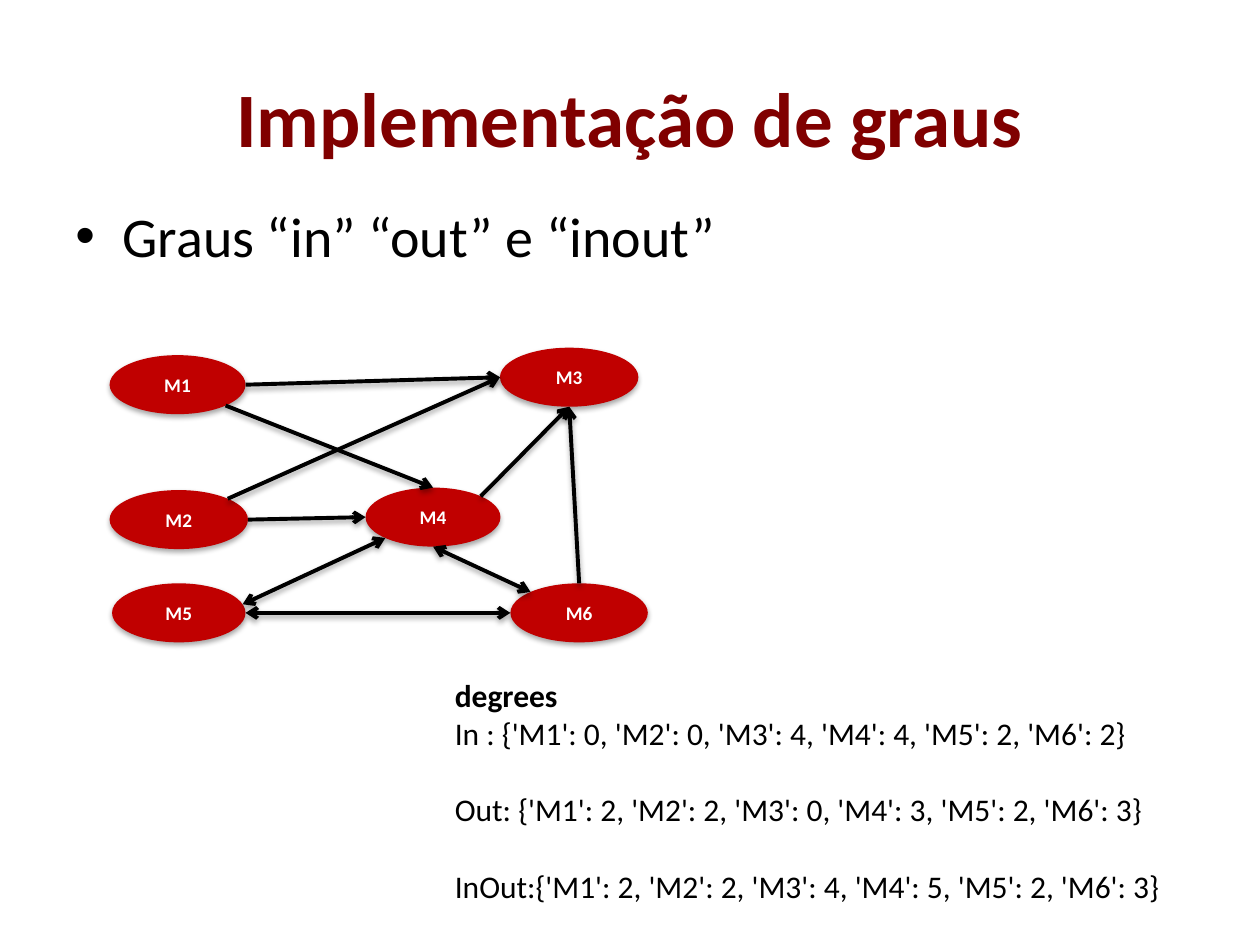
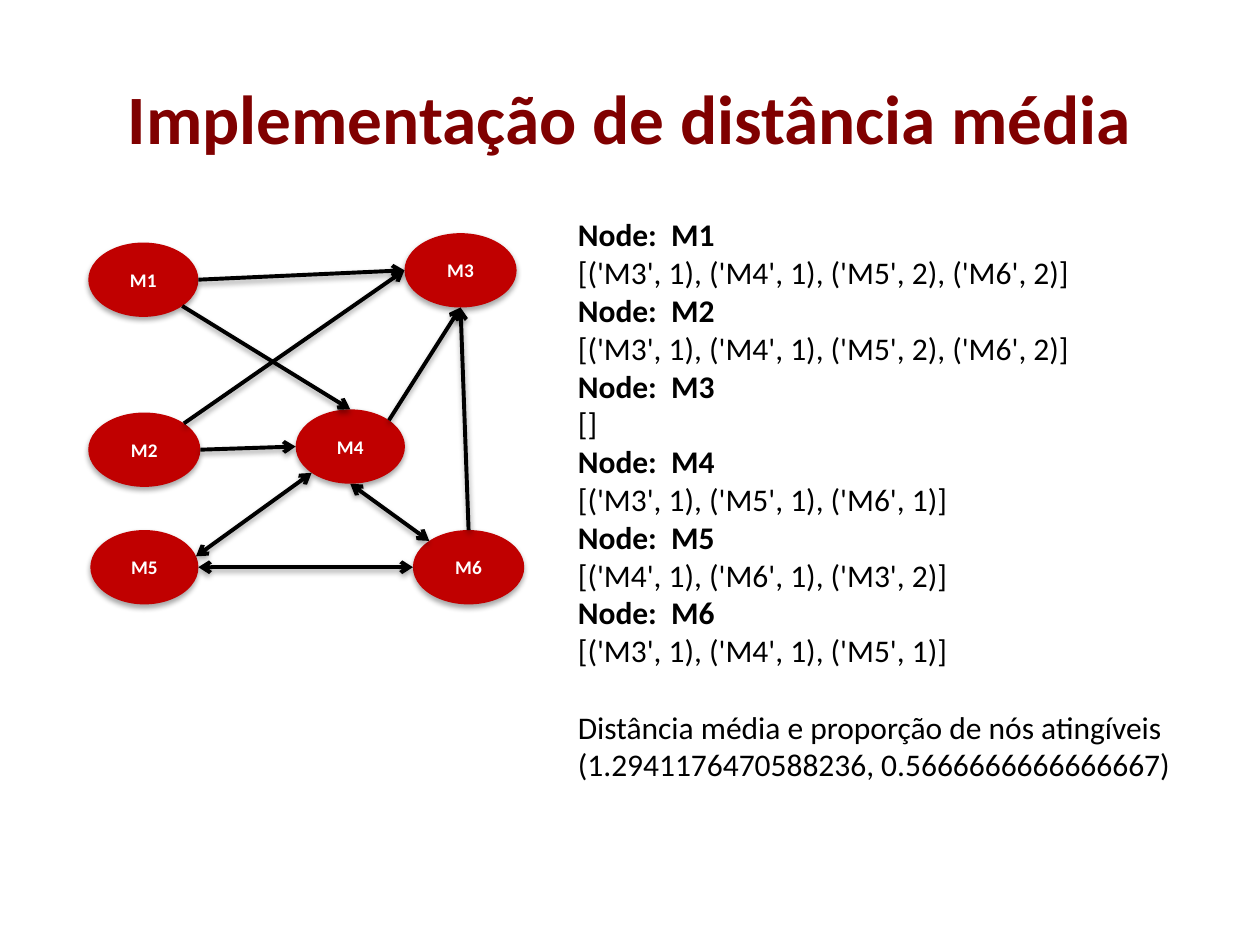
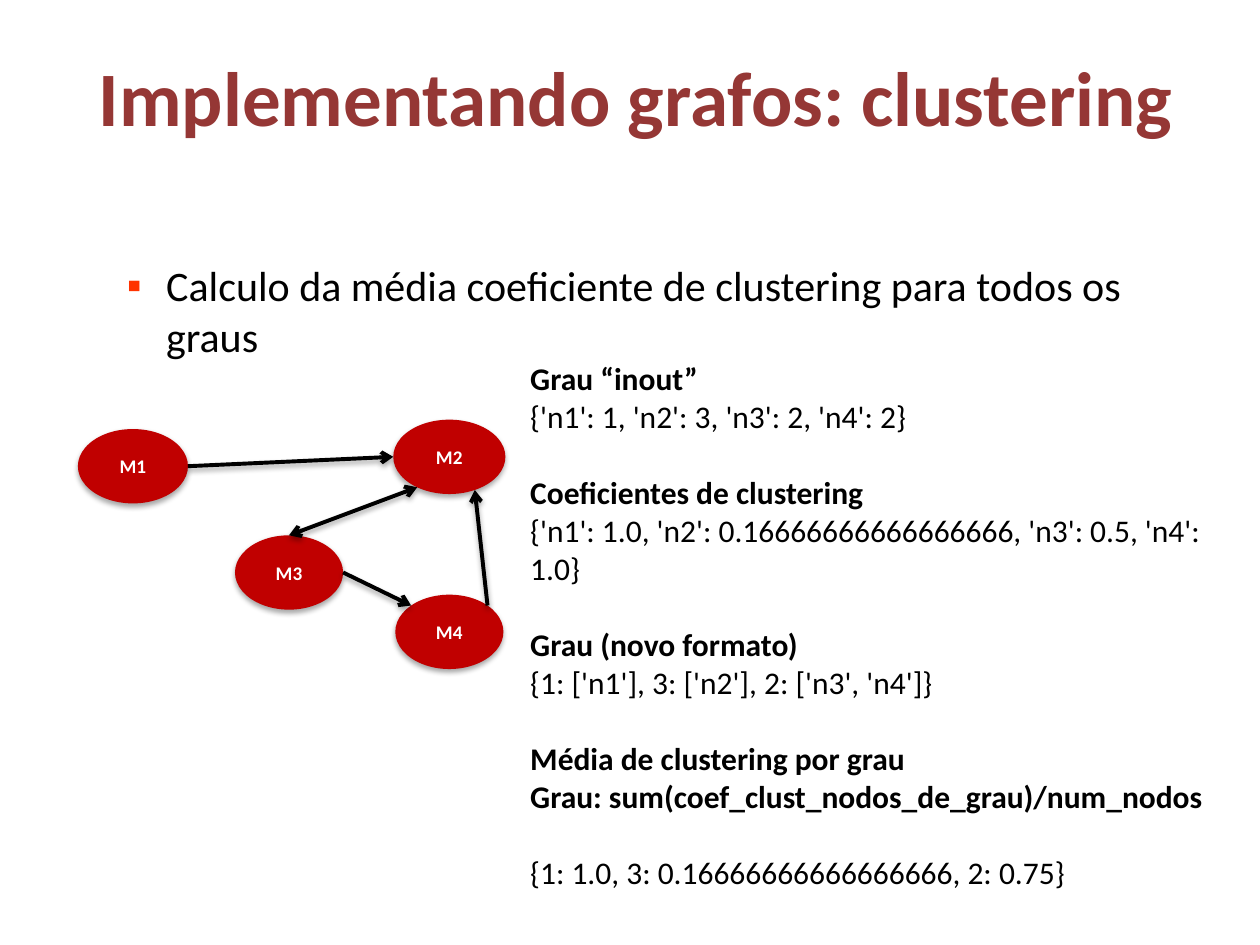
"""Builds three slides on directed graphs: degrees, mean distance and clustering."""
import math

import lxml.etree
import pptx
import pptx.dml.color
import pptx.enum.shapes
import pptx.enum.text
import pptx.oxml.ns
import pptx.util

Cm, Pt, qn = pptx.util.Cm, pptx.util.Pt, pptx.oxml.ns.qn
FONT = "Calibri"
BLACK, WHITE, RED = "000000", "FFFFFF", "C00000"
DARK, BRICK, ORANGE = "800000", "953735", "FF3300"
E, SE, S, SW, W, NW, N, NE = range(0, 360, 45)
HIGH = 1.19
GAP = 22
TALL = (0.81, 1.26)

NODES = {
    "M1": (0, 0.15, 2.74), "M2": (0, 2.87, 2.79), "M3": (7.87, 0, 2.79),
    "M4": (5.16, 2.82, 2.72), "M5": (0.05, 4.75, 2.69), "M6": (8.08, 4.75, 2.77),
}
EDGES = [
    ("M1", E, "M3", W, False), ("M2", NE, "M3", W, False),
    ("M5", E, "M6", W, True), ("M4", S, "M6", NW, True),
    ("M6", N, "M3", S, False), ("M4", NE, "M3", S, False),
    ("M1", SE, "M4", N, False), ("M2", E, "M4", W, False),
    ("M5", 343, "M4", SW, True),
]
FEW_NODES = {
    "M1": (0, 0.15, 2.74), "M2": (7.85, 0, 2.79),
    "M3": (3.91, 1.85, 2.69), "M4": (7.9, 2.8, 2.69),
}
FEW_EDGES = [
    ("M1", E, "M2", W, False), ("M3", E, "M4", NW, False),
    ("M2", 125, "M3", N, True), ("M4", NE, "M2", 63, False),
]
DEGREES = [
    [(True, "degrees"),
     (False, "In : {'M1': 0, 'M2': 0, 'M3': 4, 'M4': 4, 'M5': 2, 'M6': 2}")],
    [(False, "Out: {'M1': 2, 'M2': 2, 'M3': 0, 'M4': 3, 'M5': 2, 'M6': 3}")],
    [(False, "InOut:{'M1': 2, 'M2': 2, 'M3': 4, 'M4': 5, 'M5': 2, 'M6': 3}")],
]
REACH = {
    "M1": "[('M3', 1), ('M4', 1), ('M5', 2), ('M6', 2)]",
    "M2": "[('M3', 1), ('M4', 1), ('M5', 2), ('M6', 2)]",
    "M3": "[]",
    "M4": "[('M3', 1), ('M5', 1), ('M6', 1)]",
    "M5": "[('M4', 1), ('M6', 1), ('M3', 2)]",
    "M6": "[('M3', 1), ('M4', 1), ('M5', 1)]",
}
MEAN = [
    (False, "Distância média e proporção de nós atingíveis"),
    (False, "(1.2941176470588236, 0.5666666666666667)"),
]
CLUSTERS = [
    [(True, "Grau “inout”"), (False, "{'n1': 1, 'n2': 3, 'n3': 2, 'n4': 2}")],
    [(True, "Coeficientes de clustering"),
     (False, "{'n1': 1.0, 'n2': 0.16666666666666666, 'n3': 0.5, 'n4': 1.0}")],
    [(True, "Grau (novo formato)"),
     (False, "{1: ['n1'], 3: ['n2'], 2: ['n3', 'n4']}")],
    [(True, "Média de clustering por grau"),
     (True, "Grau: sum(coef_clust_nodos_de_grau)/num_nodos")],
    [(False, "{1: 1.0, 3: 0.16666666666666666, 2: 0.75}")],
]


def paint(target, tone):
    """Give a colour or a fill the hex tone."""
    if hasattr(target, "solid"):
        target.solid()
        target = target.fore_color
    target.rgb = pptx.dml.color.RGBColor.from_string(tone)


def style(para, size, tone=BLACK, bold=False):
    """Format every run of a paragraph."""
    for run in para.runs:
        run.font.name, run.font.size, run.font.bold = FONT, Pt(size), bold
        paint(run.font.color, tone)


def sub(parent, tag, **attrs):
    """Append a drawing element and return it."""
    return lxml.etree.SubElement(parent, qn("a:" + tag), attrs)


def shade(shape):
    """Cast the soft shadow of nodes and edges."""
    effects = sub(shape._element.spPr, "effectLst")
    outer = sub(effects, "outerShdw", blurRad="40000", dist="23000",
                dir="5400000", rotWithShape="0")
    sub(sub(outer, "srgbClr", val=BLACK), "alpha", val="35000")


def start(deck, text, left=1.27, top=0.76, size=44, tone=DARK):
    """Add a slide with its title."""
    slide = deck.slides.add_slide(deck.slide_layouts[5])
    title = slide.shapes.title
    title.left, title.top, title.width, title.height = map(Cm, (left, top, 22.86, 3.18))
    frame = title.text_frame
    frame.text = text
    frame.vertical_anchor = pptx.enum.text.MSO_ANCHOR.MIDDLE
    frame.paragraphs[0].alignment = pptx.enum.text.PP_ALIGN.CENTER
    style(frame.paragraphs[0], size, tone, True)
    return slide


def add_box(slide, place):
    """Add a wrapping text box and return its frame."""
    frame = slide.shapes.add_textbox(*map(Cm, place)).text_frame
    frame.word_wrap = True
    return frame


def add_point(slide, place, text, size, mark, indent, hang, before, tone=BLACK):
    """Add a bulleted line."""
    frame = add_box(slide, place)
    frame.text = text
    para = frame.paragraphs[0]
    para.space_before = Pt(before)
    style(para, size)
    props = para._p.get_or_add_pPr()
    props.set("marL", str(Cm(indent)))
    props.set("indent", str(-Cm(hang)))
    sub(sub(props, "buClr"), "srgbClr", val=tone)
    sub(props, "buFont", typeface="Arial")
    sub(props, "buChar", char=mark)


def add_rows(slide, place, groups):
    """Add groups of bold and plain rows, a line apart."""
    frame = add_box(slide, place)
    para = None
    for group in groups:
        for row, (bold, text) in enumerate(group):
            gap = GAP if para is not None and row == 0 else 0
            para = frame.paragraphs[0] if para is None else frame.add_paragraph()
            para.text = text
            para.space_before = Pt(gap)
            style(para, 18, bold=bold)


def add_node(slide, name, place):
    """Add a labelled ellipse."""
    node = slide.shapes.add_shape(pptx.enum.shapes.MSO_SHAPE.OVAL, *map(Cm, place))
    paint(node.fill, RED)
    node.line.fill.background()
    shade(node)
    frame = node.text_frame
    frame.text = name
    frame.vertical_anchor = pptx.enum.text.MSO_ANCHOR.MIDDLE
    frame.paragraphs[0].alignment = pptx.enum.text.PP_ALIGN.CENTER
    style(frame.paragraphs[0], 11, WHITE, True)


def rim(place, angle):
    """Return the point of an ellipse at a clockwise angle from east."""
    left, top, width, height = place
    turn = math.radians(angle)
    return (left + width / 2 * (1 + math.cos(turn)),
            top + height / 2 * (1 + math.sin(turn)))


def add_edge(slide, begin, end, both):
    """Add an arrow with one or two heads."""
    edge = slide.shapes.add_connector(
        pptx.enum.shapes.MSO_CONNECTOR.STRAIGHT, *map(Cm, begin + end))
    paint(edge.line.fill, BLACK)
    edge.line.width = Pt(2.25)
    line = edge.line._get_or_add_ln()
    if both:
        sub(line, "headEnd", type="arrow")
    sub(line, "tailEnd", type="arrow")
    shade(edge)


def add_graph(slide, left, top, nodes, edges, scale=(1, 1)):
    """Add a graph stretched by scale from its top left corner."""
    wide, high = scale
    places = {name: (left + x * wide, top + y * high, width * wide, HIGH * high)
              for name, (x, y, width) in nodes.items()}
    for name, place in places.items():
        add_node(slide, name, place)
    for tail, out, head, into, both in edges:
        add_edge(slide, rim(places[tail], out), rim(places[head], into), both)


def main():
    """Build and save the deck."""
    deck = pptx.Presentation()
    deck.slide_width, deck.slide_height = Cm(25.4), Cm(19.05)

    slide = start(deck, "Implementação de graus")
    add_point(slide, (1.27, 3.94, 22.86, 2), "Graus “in” “out” e “inout”",
              32, "•", 0.95, 0.95, 6.4)
    add_graph(slide, 2.21, 7.01, NODES, EDGES)
    add_rows(slide, (8.92, 13.51, 16.4, 4.88), DEGREES)

    slide = start(deck, "Implementação de distância média", size=39.6)
    add_graph(slide, 1.78, 4.7, NODES, EDGES, TALL)
    reach = [row for name, found in REACH.items()
             for row in ((True, "Node:  " + name), (False, found))]
    add_rows(slide, (11.4, 4.22, 12.7, 11.79), [reach, MEAN])

    slide = start(deck, "Implementando grafos: clustering", 1.4, 0.33, tone=BRICK)
    add_point(slide, (1.04, 5.11, 22.86, 2.4),
              "Calculo da média coeficiente de clustering para todos os graus",
              24, "▪", 2.06, 0.79, 12, ORANGE)
    add_graph(slide, 1.57, 8.46, FEW_NODES, FEW_EDGES, TALL)
    add_rows(slide, (10.44, 7.11, 14.35, 11.02), CLUSTERS)

    deck.save("out.pptx")


if __name__ == "__main__":
    main()
